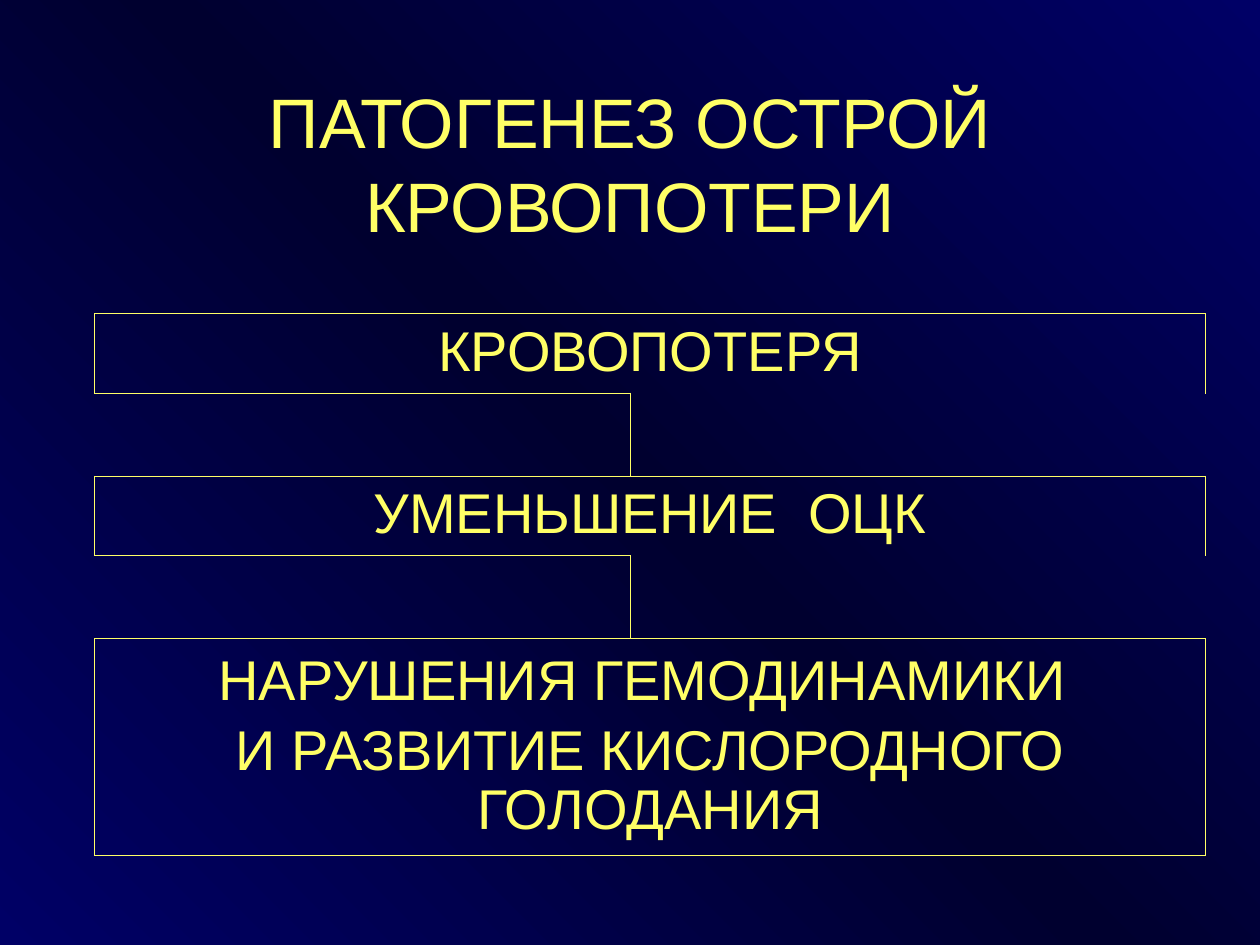
import copy

import pptx
import pptx.dml.color
import pptx.enum.text
import pptx.oxml
import pptx.oxml.ns
import pptx.util
from pptx.util import Inches

YELLOW = pptx.dml.color.RGBColor(0xFF, 0xFF, 0x66)
BLUE = pptx.dml.color.RGBColor(0x00, 0x00, 0x66)
DARK_BLUE = pptx.dml.color.RGBColor(0x00, 0x00, 0x2F)

COLUMN_WIDTHS = (4.25, 4.57)
ROW_HEIGHTS = (0.63, 0.66, 0.63, 0.66, 1.72)
STAGES = (
    ("КРОВОПОТЕРЯ",),
    ("УМЕНЬШЕНИЕ  ОЦК",),
    ("НАРУШЕНИЯ ГЕМОДИНАМИКИ ", "И РАЗВИТИЕ КИСЛОРОДНОГО ГОЛОДАНИЯ"),
)


def paint_background(slide):
    """Fill the slide with a diagonal blue, dark blue, blue gradient."""
    fill = slide.background.fill
    fill.gradient()
    fill.gradient_angle = 225
    stop_list = slide.background._cSld.find(".//" + pptx.oxml.ns.qn("a:gsLst"))
    stop_list.insert(1, copy.deepcopy(stop_list[0]))
    for stop, position, color in zip(
        fill.gradient_stops, (0, 0.5, 1), (BLUE, DARK_BLUE, BLUE)
    ):
        stop.position = position
        stop.color.rgb = color


def write_text(text_frame, lines, size, line_spacing=None, gap=0):
    for index, line in enumerate(lines):
        paragraph = text_frame.paragraphs[0] if index == 0 else text_frame.add_paragraph()
        paragraph.alignment = pptx.enum.text.PP_ALIGN.CENTER
        if line_spacing:
            paragraph.line_spacing = line_spacing
        if index and gap:
            paragraph.space_before = pptx.util.Pt(gap)
        run = paragraph.add_run()
        run.text = line
        run.font.size = pptx.util.Pt(size)
        run.font.name = "Arial"
        run.font.color.rgb = YELLOW


def add_title(slide, text):
    box = slide.shapes.add_textbox(Inches(0.75), Inches(0.57), Inches(8.5), Inches(1.44))
    box.text_frame.word_wrap = True
    box.text_frame.vertical_anchor = pptx.enum.text.MSO_ANCHOR.MIDDLE
    write_text(box.text_frame, [text], size=40)


def format_cell(cell, sides):
    """Clear the cell's fill and draw borders on the named sides only."""
    properties = cell._tc.get_or_add_tcPr()
    for side in "LRTB":
        paint = (
            f'<a:solidFill><a:srgbClr val="{YELLOW}"/></a:solidFill>'
            if side in sides
            else "<a:noFill/>"
        )
        properties.append(pptx.oxml.parse_xml(
            f'<a:ln{side} {pptx.oxml.ns.nsdecls("a")} w="{pptx.util.Pt(0.5)}">'
            f"{paint}</a:ln{side}>"
        ))
    cell.fill.background()


def add_stage_table(slide):
    """Stages fill merged rows; the spacer rows between them hold the link line."""
    table = slide.shapes.add_table(
        len(ROW_HEIGHTS), len(COLUMN_WIDTHS), Inches(0.75), Inches(2.49),
        Inches(sum(COLUMN_WIDTHS)), Inches(sum(ROW_HEIGHTS)),
    ).table
    table.first_row = False
    table.horz_banding = False
    for column, width in zip(table.columns, COLUMN_WIDTHS):
        column.width = Inches(width)
    for row, height in zip(table.rows, ROW_HEIGHTS):
        row.height = Inches(height)

    last_row = len(ROW_HEIGHTS) - 1
    for row_index in range(len(ROW_HEIGHTS)):
        left, right = table.cell(row_index, 0), table.cell(row_index, 1)
        if row_index % 2:
            format_cell(left, "TRB")
            format_cell(right, "LB")
            continue
        left.merge(right)
        format_cell(left, "LRTB")
        format_cell(right, "RTB" if row_index == last_row else "RT")
        left.vertical_anchor = pptx.enum.text.MSO_ANCHOR.MIDDLE
        write_text(left.text_frame, STAGES[row_index // 2], size=32,
                   line_spacing=0.93, gap=7)


def main():
    presentation = pptx.Presentation()
    presentation.slide_width = Inches(10)
    presentation.slide_height = Inches(7.5)
    slide = presentation.slides.add_slide(presentation.slide_layouts[6])
    paint_background(slide)
    add_title(slide, "ПАТОГЕНЕЗ ОСТРОЙ КРОВОПОТЕРИ")
    add_stage_table(slide)
    presentation.save("out.pptx")


if __name__ == "__main__":
    main()
